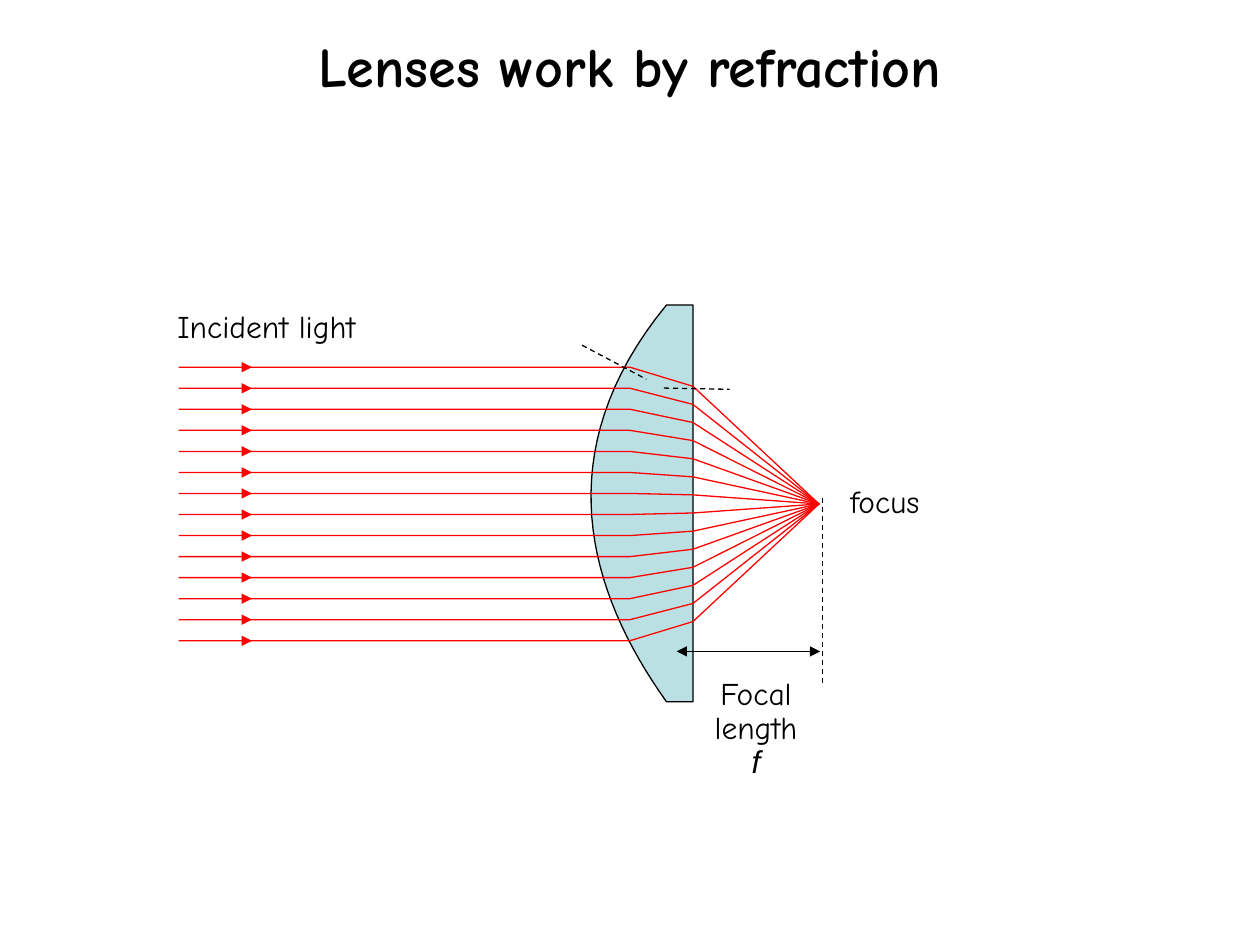
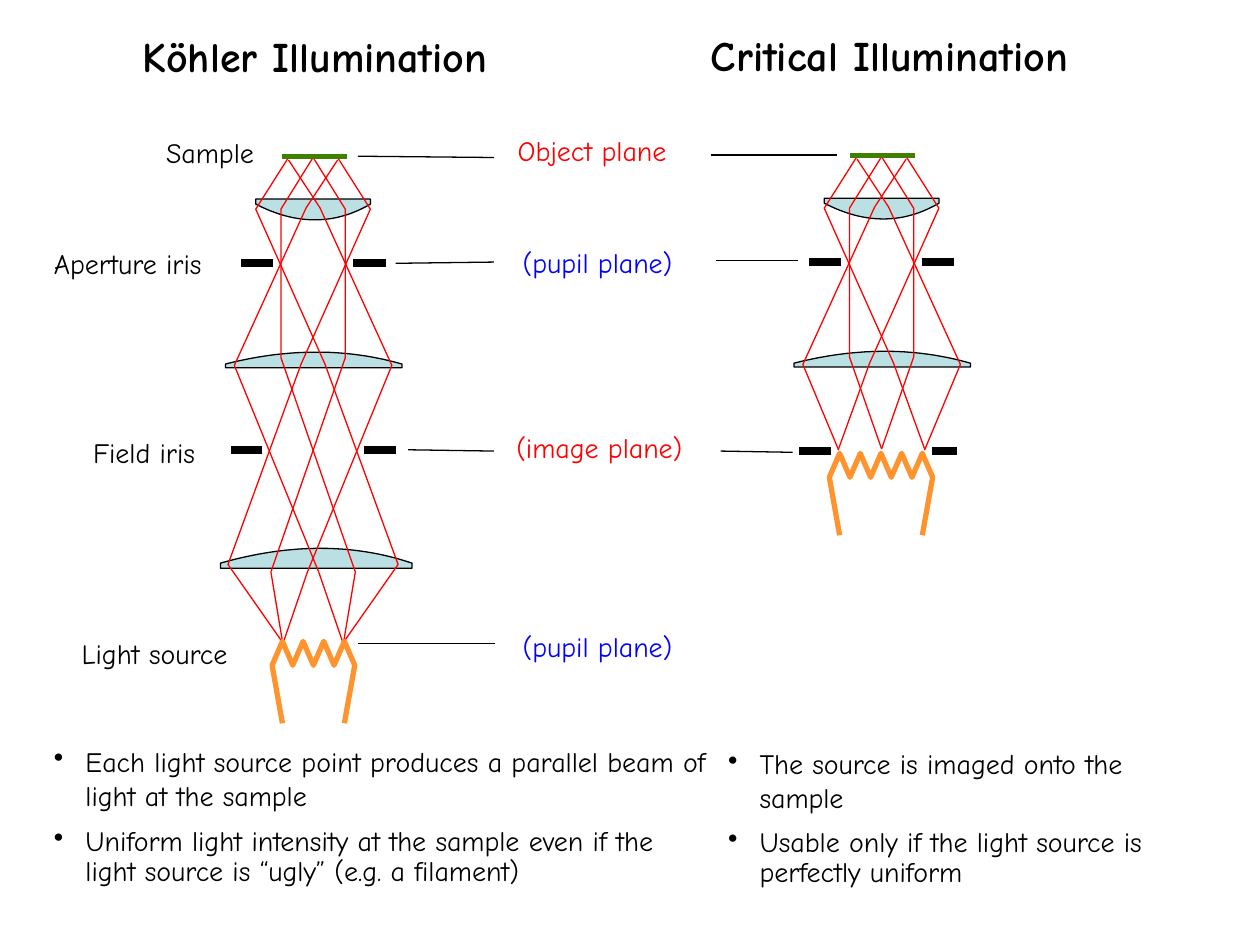
from dataclasses import dataclass
from typing import NamedTuple, Sequence

from lxml.etree import SubElement
from pptx import Presentation
from pptx.dml.color import RGBColor
from pptx.enum.dml import MSO_LINE
from pptx.enum.text import MSO_ANCHOR, MSO_AUTO_SIZE, PP_ALIGN
from pptx.oxml.ns import qn
from pptx.util import Inches, Pt

COLUMNS, ROWS = 100, 75
WIDTH, HEIGHT = Inches(10), Inches(7.5)
FONT = "Comic Neue"
BLACK, RED, BLUE = "000000", "FF0000", "0000FF"
GLASS, GREEN, ORANGE = "BBE0E3", "408000", "FF932E"
TITLE_ONLY = 5
CURVE_STEPS = 32


class Point(NamedTuple):
    col: float
    row: float


class Area(NamedTuple):
    col: float
    row: float
    cols: float
    rows: float


class Words(NamedTuple):
    text: str
    font: str = FONT
    italic: bool = False


@dataclass(frozen=True)
class Label:
    text: str
    area: Area
    color: str = BLACK


@dataclass(frozen=True)
class Lens:
    half_width: float
    rim: float
    base: float
    controls: tuple[Point, Point]
    shift: float = 0


@dataclass(frozen=True)
class Iris:
    row: float
    gap: float
    left: float
    right: float


@dataclass(frozen=True)
class Filament:
    left: float
    top: float
    peaks: int


@dataclass(frozen=True)
class Illumination:
    axis: float
    drop: float
    lenses: Sequence[Lens]
    ray_ends: Sequence[Sequence[Point]]
    irises: Sequence[Iris]
    filament: Filament


def across(cols: float) -> int:
    return round(WIDTH * cols / COLUMNS)


def down(rows: float) -> int:
    return round(HEIGHT * rows / ROWS)


def paint(target, color: str) -> None:
    target.rgb = RGBColor.from_string(color)


def polyline(slide, points: Sequence[Point], color: str, weight: float = 0.75, fill: str = "") -> None:
    spots = [(across(col), down(row)) for col, row in points]
    builder = slide.shapes.build_freeform(*spots[0], scale=1.0)
    builder.add_line_segments(spots[1:], close=bool(fill))
    outline = builder.convert_to_shape()
    outline.shadow.inherit = False
    paint(outline.line.color, color)
    outline.line.width = Pt(weight)
    if fill:
        outline.fill.solid()
        paint(outline.fill.fore_color, fill)
    else:
        outline.fill.background()


def straight(slide, start: Point, end: Point, color: str = BLACK, weight: float = 0.75,
             dashed: bool = False, arrows: Sequence[str] = ()) -> None:
    link = slide.shapes.add_connector(1, across(start.col), down(start.row), across(end.col), down(end.row))
    paint(link.line.color, color)
    link.line.width = Pt(weight)
    if dashed:
        link.line.dash_style = MSO_LINE.DASH
    for arrow in arrows:
        SubElement(link.line._get_or_add_ln(), qn(f"a:{arrow}"), type="triangle")
    SubElement(link._element.spPr, qn("a:effectLst"))


def bezier(start: Point, first: Point, second: Point, end: Point) -> list[Point]:
    def blend(t: float, a: float, b: float, c: float, d: float) -> float:
        return (1 - t) ** 3 * a + 3 * (1 - t) ** 2 * t * b + 3 * (1 - t) * t ** 2 * c + t ** 3 * d

    steps = [step / CURVE_STEPS for step in range(1, CURVE_STEPS)]
    return [Point(*(blend(t, *axis) for axis in zip(start, first, second, end))) for t in steps]


def draw_glass(slide, edge: Sequence[Point], controls: Sequence[Point]) -> None:
    polyline(slide, [*edge, *bezier(edge[-1], *controls, edge[0])], BLACK, fill=GLASS)


def write(paragraph, words: Words, size: float, color: str = BLACK, bold: bool = False) -> None:
    run = paragraph.add_run()
    run.text = words.text
    run.font.name = words.font
    run.font.size = Pt(size)
    run.font.bold = bold
    run.font.italic = words.italic
    paint(run.font.color, color)


def text_frame(slide, area: Area, wrap: bool = True):
    box = slide.shapes.add_textbox(across(area.col), down(area.row), across(area.cols), down(area.rows))
    box.text_frame.word_wrap = wrap
    return box.text_frame


def heading(frame, text: str, size: float) -> None:
    frame.word_wrap = True
    frame.auto_size = MSO_AUTO_SIZE.NONE
    frame.vertical_anchor = MSO_ANCHOR.MIDDLE
    paragraph = frame.paragraphs[0]
    paragraph.alignment = PP_ALIGN.CENTER
    write(paragraph, Words(text), size, bold=True)


def titled_slide(deck, text: str, area: Area, size: float):
    slide = deck.slides.add_slide(deck.slide_layouts[TITLE_ONLY])
    title = slide.shapes.title
    title.left, title.top = across(area.col), down(area.row)
    title.width, title.height = across(area.cols), down(area.rows)
    heading(title.text_frame, text, size)
    return slide


def caption(slide, area: Area, words: Sequence[Words], align: PP_ALIGN = PP_ALIGN.LEFT) -> None:
    paragraph = text_frame(slide, area).paragraphs[0]
    paragraph.alignment = align
    paragraph.line_spacing = 0.9
    for part in words:
        write(paragraph, part, 18)


def bullets(slide, area: Area, points: Sequence[str], gap: float) -> None:
    frame = text_frame(slide, area)
    for index, text in enumerate(points):
        paragraph = frame.add_paragraph() if index else frame.paragraphs[0]
        if index:
            paragraph.line_spacing = 0.9
            paragraph.space_before = Pt(gap)
        properties = paragraph._p.get_or_add_pPr()
        properties.set("marL", str(across(2.5)))
        properties.set("indent", str(-across(2.5)))
        SubElement(properties, qn("a:buChar"), char="•")
        write(paragraph, Words(text), 16)


def refraction_slide(deck) -> None:
    slide = titled_slide(deck, "Lenses work by refraction", Area(7.5, 1.8, 85, 6.7), 32)
    focus = Point(65, 40)
    source_col, entry_col, exit_col = 14.17, 50, 55
    ray_gap, pairs, bending = 1.67, 7, 0.86

    draw_glass(slide, [Point(52.9, 55.7), Point(exit_col, 55.7), Point(exit_col, 24.2), Point(52.9, 24.2)],
               [Point(43.3, 35.9), Point(46.7, 47)])
    for pair in range(pairs):
        height = ray_gap * (pair + 0.5)
        upper, lower = ([Point(source_col, focus.row + side * height),
                         Point(entry_col, focus.row + side * height),
                         Point(exit_col, focus.row + side * height * bending)] for side in (-1, 1))
        polyline(slide, [*lower, focus, *reversed(upper)], RED)
        for row in (upper[0].row, lower[0].row):
            straight(slide, Point(17.5, row), Point(20, row), RED, arrows=["tailEnd"])

    for start, end in [(Point(46.2, 27.4), Point(51.3, 30.1)),
                       (Point(52.7, 30.8), Point(57.9, 30.9)),
                       (Point(65.3, 39.5), Point(65.3, 54.5))]:
        straight(slide, start, end, dashed=True)
    straight(slide, Point(53.7, 51.7), Point(65.1, 51.7), arrows=["headEnd", "tailEnd"])

    caption(slide, Area(13.1, 24.2, 20, 3.8), [Words("Incident light")])
    caption(slide, Area(66.5, 38.1, 10, 3.8), [Words("focus")])
    caption(slide, Area(55, 53.3, 10, 3.8), [Words("Focal length "), Words("f", "Arial", True)],
            PP_ALIGN.CENTER)


OBJECTIVE = Lens(4.55, 16.2, 15.8, (Point(1.15, 18.2), Point(-2.05, 17.5)))
FIELD_LENS = Lens(7, 28.9, 29.2, (Point(1.8, 27.4), Point(-3.1, 27.9)), 0.05)
COLLECTOR = Lens(7.6, 44.7, 45.1, (Point(2, 42.8), Point(-3.4, 43.5)), 0.25)
RAY_STARTS = [
    [Point(0, 12.5), Point(2.55, 16.6), Point(2.55, 28.4)],
    [Point(1.95, 12.5), Point(4.55, 16.6), Point(-0.95, 28.9)],
    [Point(-1.95, 12.7), Point(0.55, 16.5), Point(6.25, 29)],
]
APERTURE = Iris(20.9, 3.2, 2.55, 2.55)
KOHLER = Illumination(
    24.85, 0, [COLLECTOR, FIELD_LENS, OBJECTIVE],
    [[Point(-3.35, 45.4), Point(-2.4, 51.1)],
     [Point(-6.75, 44.8), Point(-2.4, 51)],
     [Point(-0.45, 45.4), Point(-2.4, 51.1)]],
    [APERTURE, Iris(35.7, 4.05, 2.5, 2.5)], Filament(-3.25, 50.9, 4))
CRITICAL = Illumination(
    69.97, -0.07, [FIELD_LENS, OBJECTIVE],
    [[Point(0, 35.7)], [Point(-3.45, 35.8)], [Point(3.45, 35.7)]],
    [APERTURE, Iris(35.9, 4, 2.55, 2)], Filament(-4.15, 36.05, 5))

LABELS = [
    Label("Sample", Area(12.2, 10.3, 9.1, 3.8)),
    Label("Aperture iris", Area(3.3, 19.1, 15.1, 3.8)),
    Label("Field iris", Area(6.4, 34.1, 10.6, 3.8)),
    Label("Light source", Area(5.5, 50, 14.5, 3.8)),
    Label("Object plane", Area(40.1, 10.1, 15.3, 3.8), RED),
    Label("(pupil plane)", Area(40.5, 19, 14.4, 3.8), BLUE),
    Label("(image plane)", Area(40, 33.7, 15.4, 3.8), RED),
    Label("(pupil plane)", Area(40.5, 49.5, 14.4, 3.8), BLUE),
]
LEADERS = [
    (Point(28.4, 12.4), Point(39.2, 12.5)), (Point(31.4, 20.9), Point(39.2, 20.8)),
    (Point(32.4, 35.7), Point(39.2, 35.8)), (Point(28.4, 51.1), Point(39.3, 51.1)),
    (Point(56.4, 12.3), Point(66.4, 12.3)), (Point(56.8, 20.7), Point(63.3, 20.7)),
    (Point(57.2, 35.8), Point(62.9, 35.9)),
]


def draw_illumination(slide, system: Illumination) -> None:
    def place(offset: float, row: float) -> Point:
        return Point(system.axis + offset, row + system.drop)

    for lens in system.lenses:
        left, right = lens.shift - lens.half_width, lens.shift + lens.half_width
        draw_glass(slide, [place(left, lens.rim), place(left, lens.base),
                           place(right, lens.base), place(right, lens.rim)],
                   [place(lens.shift + col, row) for col, row in lens.controls])
    for start, end in zip(RAY_STARTS, system.ray_ends):
        for side in (1, -1):
            polyline(slide, [place(side * col, row) for col, row in [*start, *end]], RED)
    for iris in system.irises:
        for side, length in ((-1, iris.left), (1, iris.right)):
            straight(slide, place(side * iris.gap, iris.row),
                     place(side * (iris.gap + length), iris.row), weight=4.5)
    straight(slide, place(-2.5, 12.4), place(2.65, 12.4), GREEN, 3)

    coil = system.filament
    half_turn, turns = 0.82, 2 * coil.peaks
    zigzag = [place(coil.left + turn * half_turn, coil.top + (0 if turn % 2 else 1.9))
              for turn in range(turns + 1)]
    feet = [place(coil.left + turn * half_turn, coil.top + 6.5) for turn in (1, turns - 1)]
    polyline(slide, [feet[0], *zigzag, feet[1]], ORANGE, 3)


def illumination_slide(deck) -> None:
    slide = titled_slide(deck, "Köhler Illumination", Area(5.5, 0.3, 39, 8.3), 24)
    heading(text_frame(slide, Area(51.1, 0.2, 39, 8.3)), "Critical Illumination", 24)
    for system in (KOHLER, CRITICAL):
        draw_illumination(slide, system)
    for start, end in LEADERS:
        straight(slide, start, end)
    for label in LABELS:
        write(text_frame(slide, label.area, wrap=False).paragraphs[0], Words(label.text), 16, label.color)
    bullets(slide, Area(3.3, 58.6, 54.1, 13.2), [
        "Each light source point produces a parallel beam of light at the sample",
        "Uniform light intensity at the sample even if the light source is “ugly” (e.g. a filament)"], 9)
    bullets(slide, Area(56.8, 58.8, 35.9, 13), [
        "The source is imaged onto the sample",
        "Usable only if the light source is perfectly uniform"], 8)


def main() -> None:
    deck = Presentation()
    deck.slide_width, deck.slide_height = WIDTH, HEIGHT
    refraction_slide(deck)
    illumination_slide(deck)
    deck.save("out.pptx")


if __name__ == "__main__":
    main()
